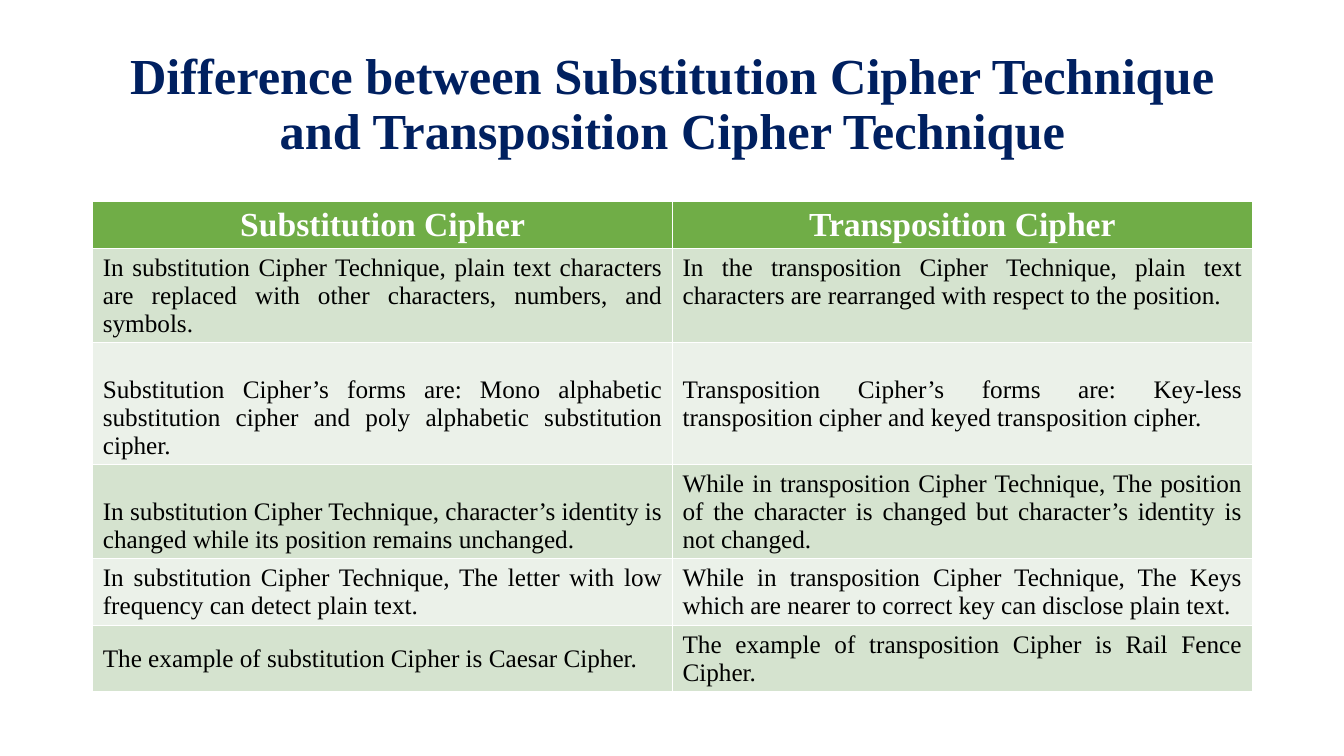
"""Builds a slide that compares two cipher techniques in a table."""
from pptx import Presentation
from pptx.dml.color import RGBColor
from pptx.enum.text import MSO_ANCHOR as Anchor, MSO_AUTO_SIZE as Fit, PP_ALIGN as Align
from pptx.util import Inches, Pt

FONT = "Times New Roman"
TITLE = ("Difference between Substitution Cipher Technique "
         "and Transposition Cipher Technique")
HEADS = ("Substitution Cipher", "Transposition Cipher")
ROWS = [
    ("In substitution Cipher Technique, plain text characters are replaced "
     "with other characters, numbers, and symbols.",
     "In the transposition Cipher Technique, plain text characters are "
     "rearranged with respect to the position."),
    ("Substitution Cipher’s forms are: Mono alphabetic substitution cipher "
     "and poly alphabetic substitution cipher.",
     "Transposition Cipher’s forms are: Key-less transposition cipher and "
     "keyed transposition cipher."),
    ("In substitution Cipher Technique, character’s identity is changed "
     "while its position remains unchanged.",
     "While in transposition Cipher Technique, The position of the character "
     "is changed but character’s identity is not changed."),
    ("In substitution Cipher Technique, The letter with low frequency can "
     "detect plain text.",
     "While in transposition Cipher Technique, The Keys which are nearer to "
     "correct key can disclose plain text."),
    ("The example of substitution Cipher is Caesar Cipher.",
     "The example of transposition Cipher is Rail Fence Cipher."),
]
HIGHS = (0.46, 0.93, 1.2, 0.93, 0.66, 0.66)
BANDS = ("EBF1E9", "D5E3CF")
LOWERED = {(2, 0), (3, 0)}


def tint(code):
    """Return the colour for a hex string."""
    return RGBColor.from_string(code)


def write(frame, text, size, code, bold, align):
    """Fill a text frame with one formatted paragraph."""
    frame.text = text
    para = frame.paragraphs[0]
    para.alignment = align
    font = para.runs[0].font
    font.name, font.size, font.bold = FONT, Pt(size), bold
    font.color.rgb = tint(code)
    return para


def add_title(slide, left, top, width, height):
    """Place the heading in the title placeholder."""
    title = slide.shapes.title
    title.left, title.top = Inches(left), Inches(top)
    title.width, title.height = Inches(width), Inches(height)
    frame = title.text_frame
    para = write(frame, TITLE, 36, "002060", True, Align.CENTER)
    para.line_spacing = 0.9
    frame.word_wrap = True
    frame.auto_size = Fit.NONE
    frame.vertical_anchor = Anchor.MIDDLE


def add_grid(slide, left, top, width, height):
    """Place the comparison table, its rows sharing the height."""
    data = [HEADS] + ROWS
    table = slide.shapes.add_table(len(data), len(HEADS), Inches(left), Inches(top),
                                   Inches(width), Inches(height)).table
    scale = height / sum(HIGHS)
    for r, (texts, high) in enumerate(zip(data, HIGHS)):
        table.rows[r].height = Inches(high * scale)
        for c, text in enumerate(texts):
            cell = table.cell(r, c)
            cell.fill.solid()
            cell.fill.fore_color.rgb = tint(BANDS[r % 2] if r else "70AD47")
            cell.vertical_anchor = Anchor.MIDDLE if r > 1 else Anchor.TOP
            if (r, c) in LOWERED:
                cell.margin_top = Inches(0.33)
            if r:
                write(cell.text_frame, text, 18, "000000", False, Align.JUSTIFY)
            else:
                write(cell.text_frame, text, 24, "FFFFFF", True, Align.CENTER)


deck = Presentation()
deck.slide_width, deck.slide_height = Inches(13.33), Inches(7.5)
slide = deck.slides.add_slide(deck.slide_layouts[5])
add_title(slide, 0.92, 0.4, 11.5, 1.3)
add_grid(slide, 0.92, 2, 11.5, 4.84)
deck.save("out.pptx")
